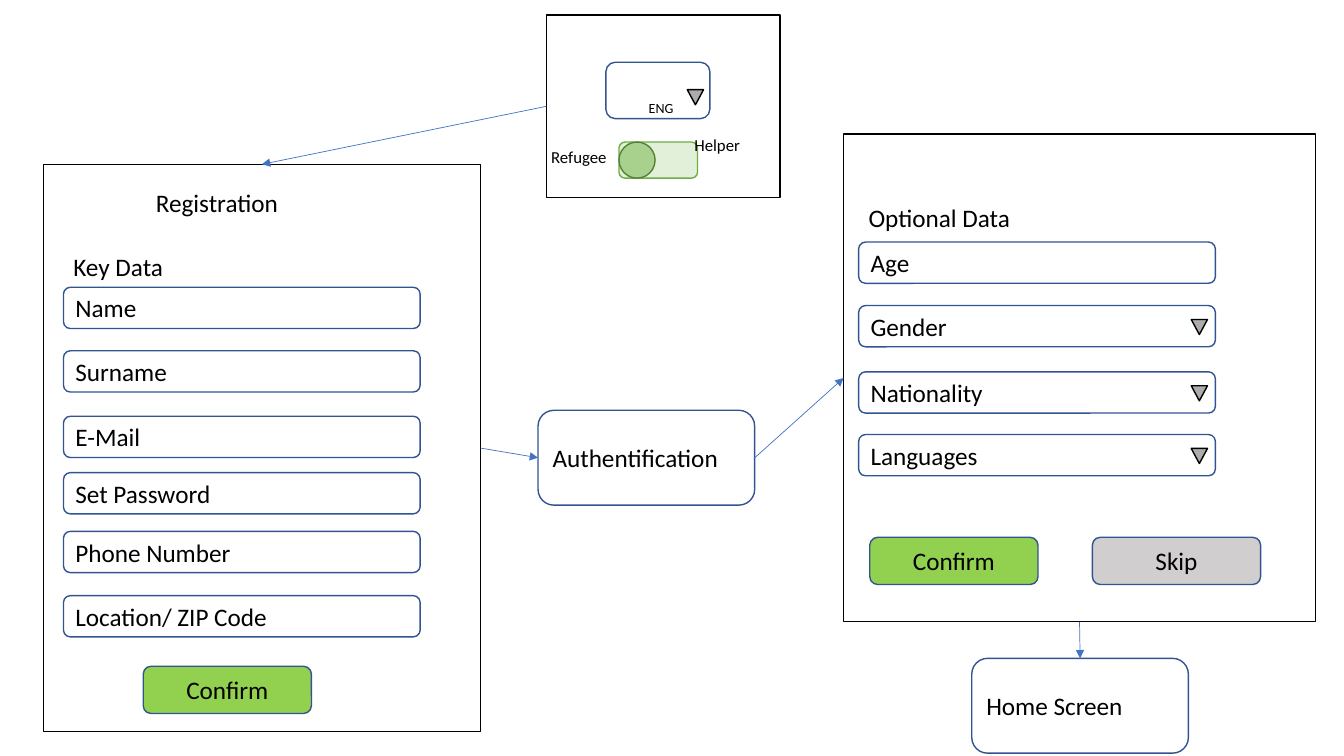
"""Draw the registration flow: language choice, key data, optional data, home screen."""
from lxml.etree import SubElement as add_element
from pptx import Presentation
from pptx.dml.color import RGBColor
from pptx.enum.shapes import MSO_CONNECTOR as Connector, MSO_SHAPE as Preset
from pptx.enum.text import MSO_ANCHOR as Anchor, MSO_AUTO_SIZE as AutoSize, PP_ALIGN as Align
from pptx.oxml.ns import qn
from pptx.util import Cm, Pt

BLACK, WHITE, BLUE, ARROW_BLUE = "000000", "FFFFFF", "325491", "4472C4"
GREEN, LIGHT_GRAY, GRAY = "92D050", "D0CECE", "AFABAB"
TOP, LEFT, BOTTOM, RIGHT = range(4)


def color(hex_value):
    """Turn a hex string into a colour."""
    return RGBColor.from_string(hex_value)


def apply(target, values):
    """Set each named attribute of the target."""
    for name, value in values.items():
        setattr(target, name, value)


class Sketch:
    """Hold the style and the current slide."""

    font = {"name": "Calibri", "size": Pt(18)}
    field_size = (8.99, 1.04)
    button_size = (4.24, 1.19)
    screen_size = (5.46, 2.39)

    def __init__(self, slide):
        """Keep the slide to draw on."""
        self.slide = slide

    def put_text(self, shape, text, align=Align.LEFT, **font):
        """Put one line of text in a shape."""
        apply(shape.text_frame, {"text": text, "word_wrap": True})
        paragraph = shape.text_frame.paragraphs[0]
        paragraph.alignment = align
        run = paragraph.runs[0]
        apply(run.font, {**self.font, **font})
        run.font.color.rgb = color(BLACK)

    def shape(self, preset, left, top, width, height, fill=WHITE, line=BLUE):
        """Add a filled and outlined preset shape."""
        shape = self.slide.shapes.add_shape(preset, Cm(left), Cm(top), Cm(width), Cm(height))
        shape.shadow.inherit = False
        shape.fill.solid()
        shape.fill.fore_color.rgb = color(fill)
        shape.line.color.rgb = color(line)
        shape.line.width = Pt(1)
        return shape

    def frame(self, left, top, width, height):
        """Add the black outline of a screen."""
        return self.shape(Preset.RECTANGLE, left, top, width, height, line=BLACK)

    def box(self, text, left, top, size, fill=WHITE, align=Align.LEFT):
        """Add a rounded box with text."""
        shape = self.shape(Preset.ROUNDED_RECTANGLE, left, top, *size, fill=fill)
        shape.text_frame.vertical_anchor = Anchor.MIDDLE
        self.put_text(shape, text, align)
        return shape

    def field(self, text, left, top):
        """Add an input field."""
        return self.box(text, left, top, self.field_size)

    def button(self, text, left, top, fill=GREEN):
        """Add a button with a centred caption."""
        return self.box(text, left, top, self.button_size, fill, Align.CENTER)

    def screen(self, text, left, top):
        """Add a screen shown as a single box."""
        return self.box(text, left, top, self.screen_size)

    def drop_mark(self, left, top):
        """Add the triangle of a drop-down list."""
        mark = self.shape(Preset.ISOSCELES_TRIANGLE, left, top, 0.41, 0.38, GRAY, BLACK)
        mark.rotation = 180

    def label(self, text, left, top, width=4.93, height=1.02, **font):
        """Add free text."""
        box = self.slide.shapes.add_textbox(Cm(left), Cm(top), Cm(width), Cm(height))
        self.put_text(box, text, **font)
        box.text_frame.auto_size = AutoSize.SHAPE_TO_FIT_TEXT

    def arrow(self, start, start_side, end, end_side):
        """Join two shapes with an arrow."""
        connector = self.slide.shapes.add_connector(Connector.STRAIGHT, 0, 0, 0, 0)
        connector.begin_connect(start, start_side)
        connector.end_connect(end, end_side)
        connector.line.color.rgb = color(ARROW_BLUE)
        connector.line.width = Pt(0.5)
        properties = connector._element.spPr
        add_element(properties.find(qn("a:ln")), qn("a:tailEnd"), type="triangle")
        add_element(properties, qn("a:effectLst"))


def draw_registration(sketch):
    """Draw the key data screen."""
    frame = sketch.frame(1.09, 4.14, 11.02, 14.3)
    sketch.label("Registration", 3.68, 4.6)
    sketch.label("Key Data", 1.6, 6.2)
    fields = {"Name": 7.24, "Surname": 8.84, "E-Mail": 10.49, "Set Password": 11.91,
              "Phone Number": 13.39, "Location/ ZIP Code": 15.01}
    for text, top in fields.items():
        sketch.field(text, 1.6, top)
    sketch.button("Confirm", 3.61, 16.79)
    return frame


def draw_optional_data(sketch):
    """Draw the optional data screen."""
    frame = sketch.frame(21.26, 3.38, 11.89, 12.29)
    sketch.label("Optional Data", 21.64, 4.98)
    sketch.field("Age", 21.64, 6.1)
    for text, top in {"Gender": 7.7, "Nationality": 9.37, "Languages": 10.95}.items():
        sketch.field(text, 21.64, top)
        sketch.drop_mark(30.02, top + 0.35)
    sketch.button("Confirm", 21.92, 13.54)
    sketch.button("Skip", 27.53, 13.54, LIGHT_GRAY)
    return frame


def draw_language_choice(sketch):
    """Draw the start screen with language list and role switch."""
    frame = sketch.frame(13.77, 0.38, 5.89, 4.6)
    sketch.shape(Preset.ROUNDED_RECTANGLE, 15.27, 1.57, 2.62, 1.42)
    sketch.label("ENG", 16.1, 2.39, 3.56, 0.69, size=Pt(10))
    sketch.drop_mark(17.32, 2.26)
    sketch.shape(Preset.ROUNDED_RECTANGLE, 15.6, 3.58, 1.98, 0.91, "E2F0D9", "70AD47")
    sketch.shape(Preset.OVAL, 15.6, 3.58, 0.91, 0.91, "A9D18E", "548235")
    for text, left, top in (("Refugee", 13.64, 3.58), ("Helper", 17.25, 3.28)):
        sketch.label(text, left, top, 3.02, 0.76, size=Pt(12))
    return frame


def main():
    """Build and save the presentation."""
    presentation = Presentation()
    apply(presentation, {"slide_width": Cm(33.87), "slide_height": Cm(19.05)})
    sketch = Sketch(presentation.slides.add_slide(presentation.slide_layouts[6]))
    registration = draw_registration(sketch)
    optional_data = draw_optional_data(sketch)
    language_choice = draw_language_choice(sketch)
    authentification = sketch.screen("Authentification", 13.56, 10.34)
    home_screen = sketch.screen("Home Screen", 24.49, 16.59)
    sketch.arrow(language_choice, LEFT, registration, TOP)
    sketch.arrow(registration, RIGHT, authentification, LEFT)
    sketch.arrow(authentification, RIGHT, optional_data, LEFT)
    sketch.arrow(optional_data, BOTTOM, home_screen, TOP)
    presentation.save("out.pptx")


main()
